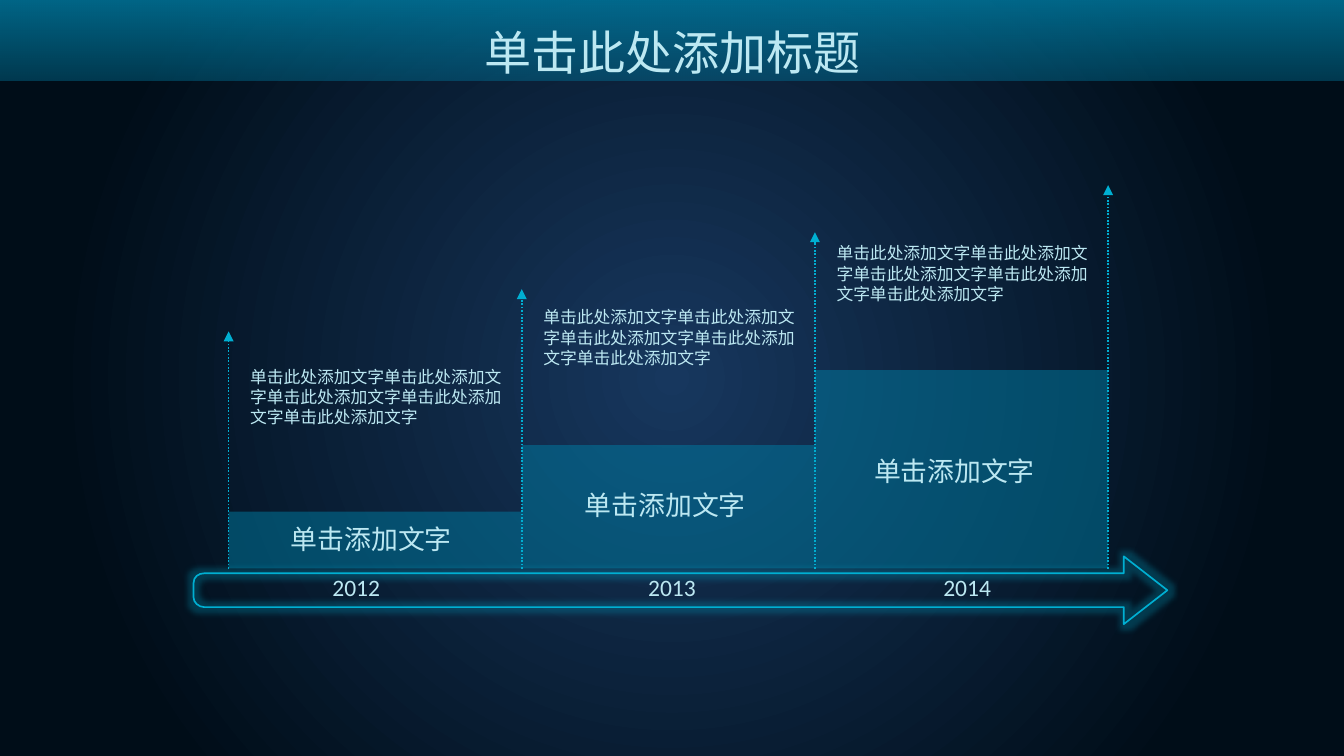
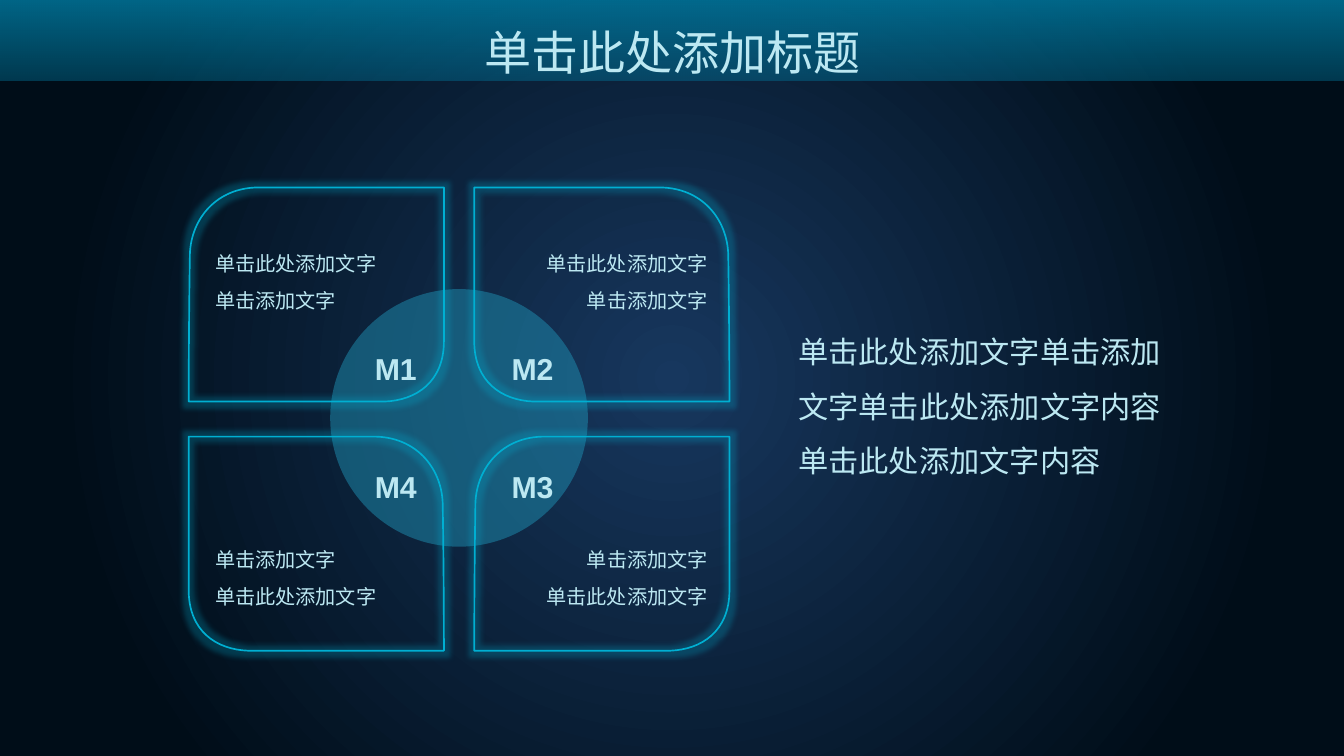
from dataclasses import dataclass

from lxml import etree
from pptx import Presentation
from pptx.dml.color import RGBColor
from pptx.enum.dml import MSO_LINE
from pptx.enum.shapes import MSO_CONNECTOR, MSO_SHAPE
from pptx.enum.text import MSO_AUTO_SIZE, PP_ALIGN
from pptx.oxml import parse_xml
from pptx.oxml.ns import nsdecls, qn
from pptx.util import Inches, Pt


@dataclass(frozen=True)
class Theme:
    width: float = 11.11
    height: float = 6.25
    centre: str = "17375E"
    edge: str = "000D18"
    panel: str = "007DA4"
    disc: str = "1E8FB2"
    line: str = "00AFD2"
    text: str = "BCE8F2"
    chinese: str = "Noto Sans CJK SC"
    latin: str = "Arial"
    digits: str = "Calibri"
    title_size: int = 28
    lead_size: int = 18
    label_size: int = 16
    year_size: int = 14
    note_size: int = 12
    body_size: int = 10


THEME = Theme()


def rgb(value):
    return RGBColor.from_string(value)


# Drawing helpers
def set_alpha(shape, *percents):
    colours = shape.element.spPr.iter(qn("a:srgbClr"))
    for colour, percent in zip(colours, percents):
        etree.SubElement(colour, qn("a:alpha"), val=str(percent * 1000))


def add_text(slide, box, lines, size, font=THEME.chinese, spacing=1.0,
             align=PP_ALIGN.LEFT, bold=False, wrap=True):
    frame = slide.shapes.add_textbox(*map(Inches, box)).text_frame
    frame.word_wrap = wrap
    frame.auto_size = MSO_AUTO_SIZE.SHAPE_TO_FIT_TEXT
    frame.text = "\n".join(lines)
    for para in frame.paragraphs:
        para.alignment = align
        para.line_spacing = spacing
        for span in para.runs:
            span.font.name = font
            span.font.size = Pt(size)
            span.font.bold = bold
            span.font.color.rgb = rgb(THEME.text)
            etree.SubElement(span.font._element, qn("a:ea"), typeface=font)


def add_panel(slide, kind, box, colour, alpha=50):
    shape = slide.shapes.add_shape(kind, *map(Inches, box))
    shape.shadow.inherit = False
    shape.fill.solid()
    shape.fill.fore_color.rgb = rgb(colour)
    set_alpha(shape, alpha)
    shape.line.fill.background()


def add_glowing_outline(slide, left, top, start, segments):
    """Each segment holds one point for a line or three for a curve."""
    ends = [start] + [segment[-1] for segment in segments]
    places = [(Inches(left + x), Inches(top + y)) for x, y in ends]
    builder = slide.shapes.build_freeform(*places[0], scale=1.0)
    builder.add_line_segments(places[1:], close=True)
    shape = builder.convert_to_shape()
    # Turn the curved segments into true curves
    straights = list(shape.element.spPr.iter(qn("a:lnTo")))
    for straight, segment in zip(straights, segments):
        if len(segment) == 3:
            bend = etree.Element(qn("a:cubicBezTo"))
            for x, y in segment:
                etree.SubElement(bend, qn("a:pt"),
                                 x=str(Inches(left + x) - shape.left),
                                 y=str(Inches(top + y) - shape.top))
            straight.getparent().replace(straight, bend)
    shape.fill.background()
    shape.line.color.rgb = rgb(THEME.line)
    shape.line.width = Pt(1)
    shape.shadow.inherit = False
    effects = shape.element.spPr.find(qn("a:effectLst"))
    effects.append(parse_xml(
        f'<a:glow {nsdecls("a")} rad="76200"><a:srgbClr val="{THEME.line}">'
        '<a:alpha val="25000"/></a:srgbClr></a:glow>'))


def add_dotted_arrow(slide, x, bottom, top):
    arrow = slide.shapes.add_connector(
        MSO_CONNECTOR.STRAIGHT, *map(Inches, (x, bottom, x, top)))
    arrow.line.color.rgb = rgb(THEME.line)
    arrow.line.width = Pt(1)
    arrow.line.dash_style = MSO_LINE.ROUND_DOT
    etree.SubElement(arrow.line._get_or_add_ln(), qn("a:tailEnd"), type="triangle")
    etree.SubElement(arrow._element.spPr, qn("a:effectLst"))


# Shared by all slides
def set_background(deck):
    master = deck.slide_master
    master.background.fill.solid()
    holder = master.element.find(".//" + qn("p:bgPr"))
    holder.replace(holder[0], parse_xml(
        f'<a:gradFill {nsdecls("a")} rotWithShape="1"><a:gsLst>'
        f'<a:gs pos="0"><a:srgbClr val="{THEME.centre}"/></a:gs>'
        f'<a:gs pos="80000"><a:srgbClr val="{THEME.edge}"/></a:gs>'
        '</a:gsLst><a:path path="circle">'
        '<a:fillToRect l="50000" t="50000" r="50000" b="50000"/>'
        '</a:path></a:gradFill>'))


def add_banded_slide(deck):
    slide = deck.slides.add_slide(deck.slide_layouts[6])
    band = slide.shapes.add_shape(
        MSO_SHAPE.RECTANGLE, 0, 0, Inches(THEME.width), Inches(0.67))
    band.shadow.inherit = False
    band.line.fill.background()
    band.fill.gradient()
    band.fill.gradient_angle = 270
    for stop in band.fill.gradient_stops:
        stop.color.rgb = rgb(THEME.panel)
    set_alpha(band, 80, 39)
    return slide


def add_title(slide, title):
    add_text(slide, (3.44, 0.05, 4.24, 0.67), [title], THEME.title_size,
             spacing=1.2, align=PP_ALIGN.CENTER)


# Timeline slide
def add_steps(slide, left, base, step_width):
    for index, height in enumerate((0.47, 1.02, 1.64)):
        add_panel(slide, MSO_SHAPE.RECTANGLE,
                  (left + index * step_width, base - height, step_width, height),
                  THEME.panel)
    for index, top in enumerate((2.98, 2.49, 1.96)):
        add_text(slide, (left + 0.08 + index * step_width, top, 2.35, 0.61),
                 ["单击此处添加文字" * 5], THEME.body_size)
    for offset, rise in ((0.24, 0.43), (2.67, 0.71), (5.06, 0.99)):
        add_text(slide, (left + offset, base - rise, 1.88, 0.37),
                 ["单击添加文字"], THEME.label_size, align=PP_ALIGN.CENTER)


def add_year_arrow(slide, left, top):
    segments = [
        [(8.05, 0.28)], [(7.69, 0.56)], [(7.69, 0.42)],
        [(0.14, 0.42)], [(0.14, 0.42)], [(0.09, 0.42)],
        [(0.04, 0.42), (0, 0.38), (0, 0.34)],
        [(0, 0.22)],
        [(0, 0.17), (0.04, 0.14), (0.09, 0.14)],
        [(0.28, 0.14)], [(0.29, 0.14)], [(7.69, 0.14)],
    ]
    add_glowing_outline(slide, left, top, (7.69, 0), segments)
    for year, offset in (("2012", 1), ("2013", 3.61), ("2014", 6.05)):
        add_text(slide, (left + offset, top + 0.09, 0.69, 0.34), [year],
                 THEME.year_size, THEME.digits, align=PP_ALIGN.CENTER)


def build_timeline(deck):
    slide = add_banded_slide(deck)
    left, base, step_width = 1.89, 4.7, (9.16 - 1.89) / 3
    add_steps(slide, left, base, step_width)
    add_title(slide, "单击此处添加标题")
    add_year_arrow(slide, 1.6, 4.6)
    for index, top in enumerate((2.74, 2.39, 1.92, 1.53)):
        add_dotted_arrow(slide, left + index * step_width, base, top)


# Quadrant slide
CELLS = [(0, 0), (0, 1), (1, 0), (1, 1)]


def add_petals(slide, left, top):
    start = (1.62, 1.77)
    segments = [
        [(0.81, 1.77), (0, 1.77), (0, 1.77)],
        [(0, 1.77), (0, 1.16), (0.01, 0.55)],
        [(0.02, 0.26), (0.23, 0), (0.58, 0)],
        [(1.35, 0), (2.11, 0), (2.11, 0)],
        [(2.11, 0), (2.11, 0.63), (2.11, 1.27)],
        [(2.11, 1.61), (1.88, 1.76), start],
    ]
    mirrored = [[(2.11 - x, y) for x, y in segment] for segment in segments]
    for row, column in CELLS:
        outline = segments if row == column else mirrored
        add_glowing_outline(slide, left + column * 2.36, top + row * 2.06,
                            outline[-1][-1], outline)


def add_disc(slide, left, top):
    add_panel(slide, MSO_SHAPE.OVAL, (left, top, 2.13, 2.13), THEME.disc)
    for (row, column), name in zip(CELLS, ("M1", "M2", "M4", "M3")):
        add_text(slide, (left + 0.27 + column * 1.13, top + 0.46 + row * 0.97, 0.55, 0.4),
                 [name], THEME.lead_size, THEME.latin, bold=True, wrap=False)


def add_notes(slide, left, top):
    lines = ["单击此处添加文字", "单击添加文字"]
    for row, column in CELLS:
        add_text(slide, (left + column * 2.24, top + row * 2.45, 2.03, 0.72),
                 lines[::-1] if row else lines, THEME.note_size, spacing=Pt(22),
                 align=PP_ALIGN.RIGHT if column else PP_ALIGN.LEFT)


def build_quadrants(deck):
    slide = add_banded_slide(deck)
    add_disc(slide, 2.73, 2.39)
    add_text(slide, (6.5, 2.56, 3.39, 1.46),
             ["单击此处添加文字单击添加文字单击此处添加文字内容单击此处添加文字内容"],
             THEME.lead_size, spacing=1.5)
    add_notes(slide, 1.68, 1.92)
    add_title(slide, "单击此处添加标题")
    add_petals(slide, 1.56, 1.55)


def main():
    deck = Presentation()
    deck.slide_width = Inches(THEME.width)
    deck.slide_height = Inches(THEME.height)
    set_background(deck)
    build_timeline(deck)
    build_quadrants(deck)
    deck.save("out.pptx")


if __name__ == "__main__":
    main()
